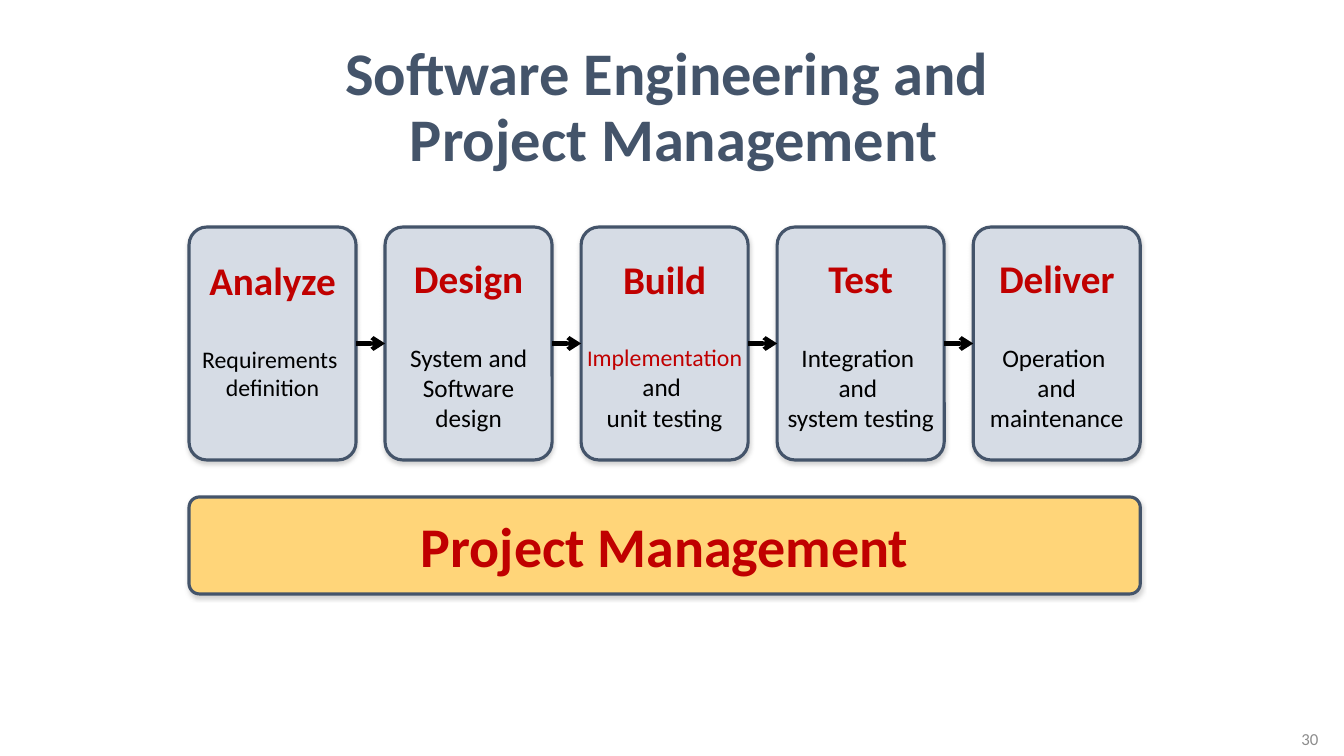
from itertools import pairwise
from lxml.etree import SubElement
from pptx import Presentation
from pptx.dml.color import RGBColor
from pptx.enum.shapes import MSO_CONNECTOR, MSO_SHAPE
from pptx.enum.text import MSO_ANCHOR, PP_ALIGN
from pptx.oxml.ns import qn
from pptx.util import Emu, Inches, Pt

NAVY, RED, BLACK, GRAY = "44546A", "C00000", "000000", "8C8C8C"
PALE, GOLD, SHADOW = "D6DCE5", "FFD579", "808080"

TITLE = "Software Engineering and \nProject Management"
PAGE = "30"
BAND = "Project Management"
STAGES = [
    ("Analyze", [[("Requirements \ndefinition", 17, BLACK)]], 29),
    ("Design", [[("System and Software design", 18, BLACK)]], 0),
    ("Build", [[("I", 16, RED), ("mplementation", 17, RED), (" ", 16, RED), ("and ", 18, BLACK)],
               [("unit testing", 18, BLACK)]], 0),
    ("Test", [[("Integration \nand \nsystem testing", 18, BLACK)]], 0),
    ("Deliver", [[("Operation \nand maintenance", 18, BLACK)]], 0),
]

LEFT, TOP, BOX_W, BOX_H, PITCH = 189, 227, 167, 233, 196
BAND_TOP, BAND_H = 497, 97
HEADING_GAP = 29.3


def px(n):
    return Emu(round(n * 914400 / 100.8))


def rgb(value):
    return RGBColor.from_string(value)


def set_all(obj, values):
    for name, value in values.items():
        setattr(obj, name, value)


def add_paragraph(tf, runs, bold=False, first=False, **fmt):
    p = tf.paragraphs[0] if first else tf.add_paragraph()
    set_all(p, {"alignment": PP_ALIGN.CENTER, **fmt})
    for text, size, color in runs:
        for i, line in enumerate(text.split("\n")):
            if i:
                p.add_line_break()
            r = p.add_run()
            r.text = line
            set_all(r.font, {"name": "Calibri", "size": Pt(size), "bold": bold})
            r.font.color.rgb = rgb(color)


def add_text(s, box, run, **fmt):
    tf = s.shapes.add_textbox(*map(px, box)).text_frame
    set_all(tf, {"word_wrap": True, "vertical_anchor": MSO_ANCHOR.MIDDLE})
    add_paragraph(tf, [run], first=True, **fmt)


def add_panel(s, box, fill, heading, size, bottom=0):
    sp = s.shapes.add_shape(MSO_SHAPE.ROUNDED_RECTANGLE, *map(px, box))
    sp.adjustments[0] = 0.107
    sp.fill.solid()
    sp.fill.fore_color.rgb = rgb(fill)
    sp.line.color.rgb = rgb(NAVY)
    sp.line.width = Pt(2.25)
    sp.shadow.inherit = False
    effects = sp._element.spPr.find(qn("a:effectLst"))
    shadow = SubElement(effects, qn("a:outerShdw"), blurRad=str(Pt(3.1)), dist=str(Pt(1.8)),
                        dir="5400000", rotWithShape="0")
    color = SubElement(shadow, qn("a:srgbClr"), val=SHADOW)
    SubElement(color, qn("a:alpha"), val="35000")
    set_all(sp.text_frame, {"word_wrap": True, "vertical_anchor": MSO_ANCHOR.MIDDLE,
                            "margin_left": 0, "margin_right": 0, "margin_top": 0,
                            "margin_bottom": px(bottom)})
    add_paragraph(sp.text_frame, [(heading, size, RED)], bold=True, first=True)
    return sp


def add_arrow(s, start, end):
    cxn = s.shapes.add_connector(MSO_CONNECTOR.STRAIGHT, 0, 0, 0, 0)
    cxn.begin_connect(start, 3)
    cxn.end_connect(end, 1)
    cxn.line.color.rgb = rgb(BLACK)
    cxn.line.width = Pt(3)
    SubElement(cxn.line._get_or_add_ln(), qn("a:tailEnd"), type="arrow")
    SubElement(cxn._element.spPr, qn("a:effectLst"))


def main():
    prs = Presentation()
    set_all(prs, {"slide_width": Inches(13.33), "slide_height": Inches(7.5)})
    s = prs.slides.add_slide(prs.slide_layouts[6])
    add_text(s, (220, 36, 907, 146), (TITLE, 43.2, NAVY), bold=True, line_spacing=0.9)
    add_text(s, (1223, 726, 105, 26), (PAGE, 12, GRAY), alignment=PP_ALIGN.RIGHT)

    boxes = []
    for i, (heading, body, bottom) in enumerate(STAGES):
        sp = add_panel(s, (LEFT + i * PITCH, TOP, BOX_W, BOX_H), PALE, heading, 28, bottom)
        for j, runs in enumerate(body):
            add_paragraph(sp.text_frame, runs, space_before=Pt(0 if j else HEADING_GAP))
        boxes.append(sp)
    for start, end in pairwise(boxes):
        add_arrow(s, start, end)

    band_w = (len(STAGES) - 1) * PITCH + BOX_W
    add_panel(s, (LEFT, BAND_TOP, band_w, BAND_H), GOLD, BAND, 40)
    prs.save("out.pptx")


if __name__ == "__main__":
    main()
